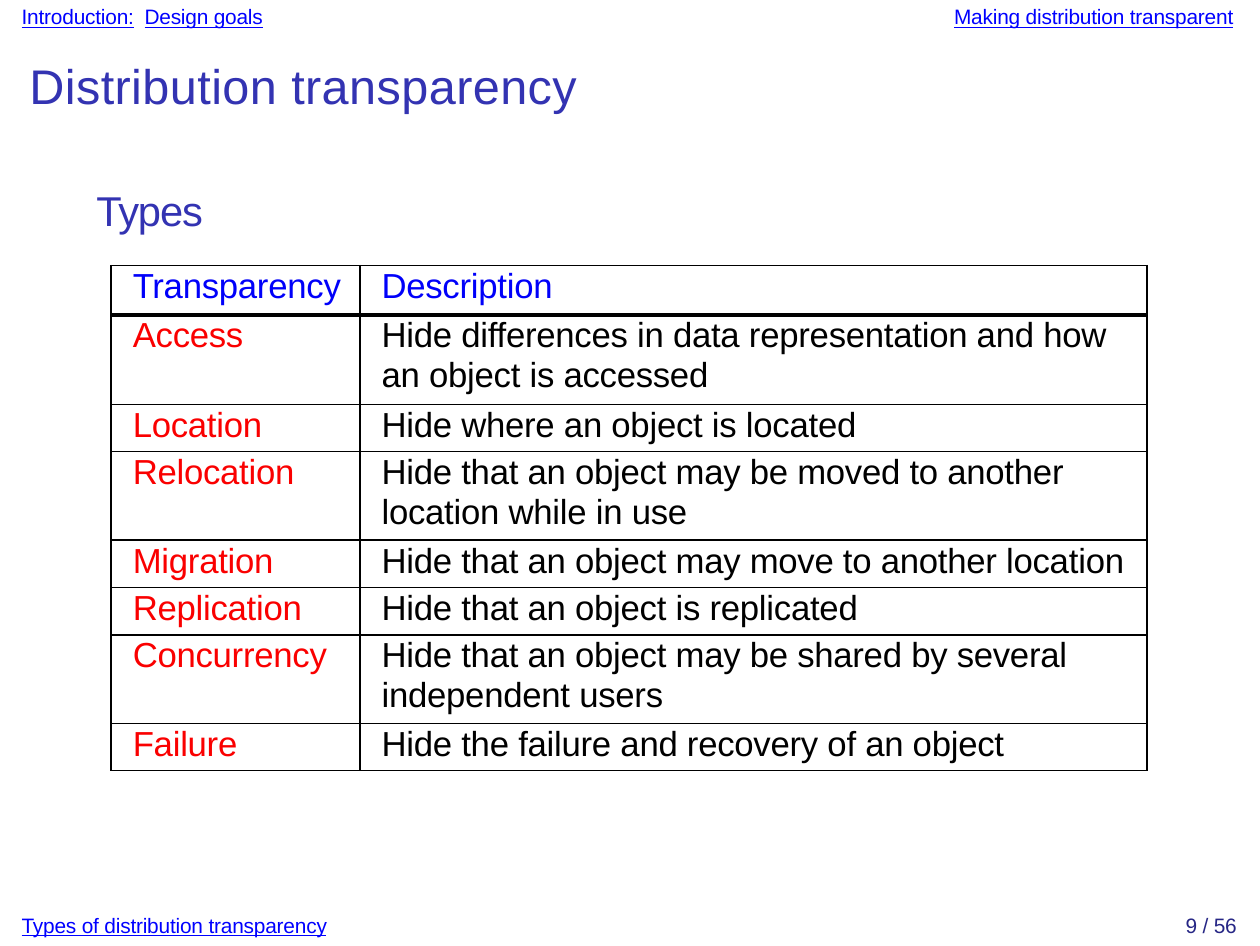
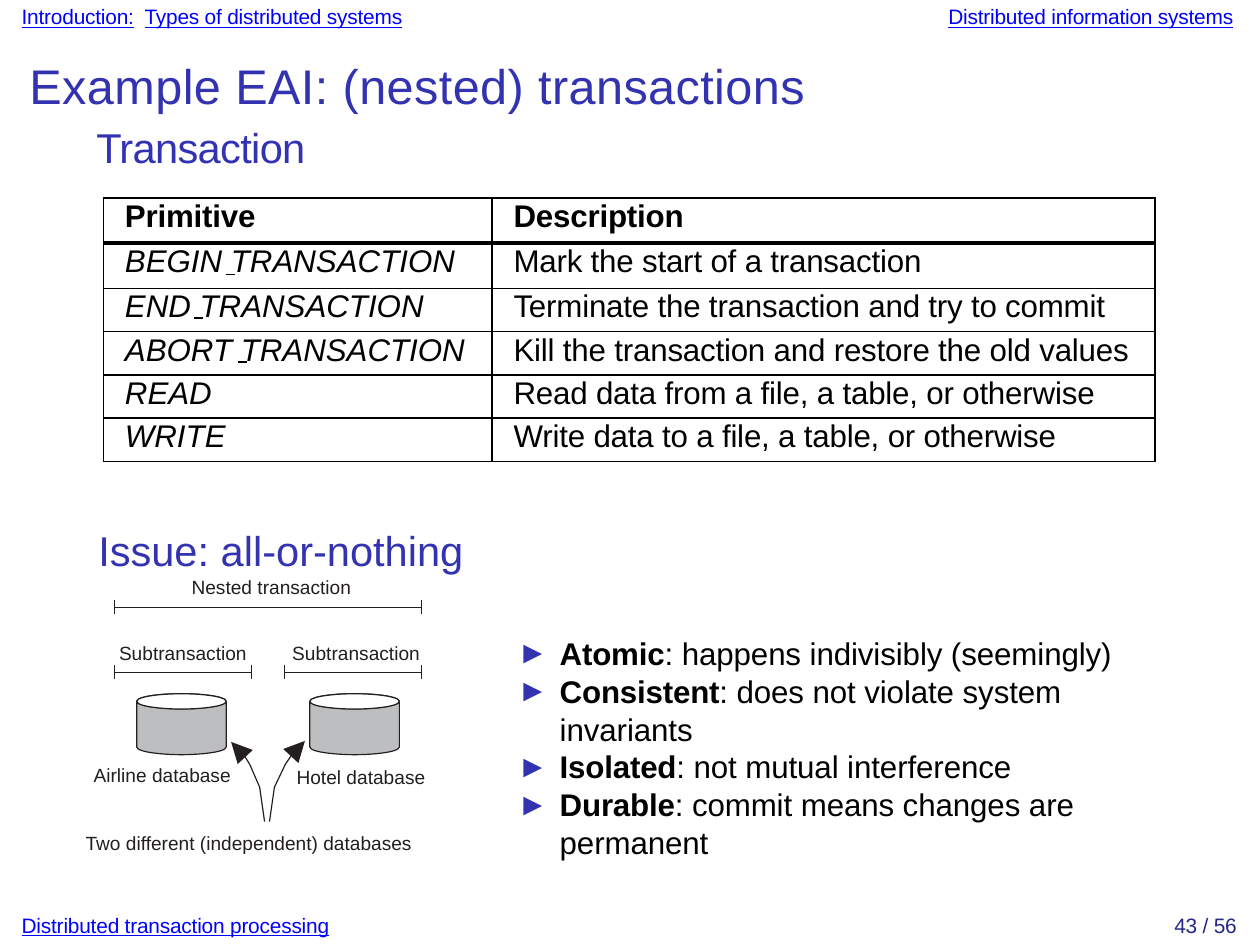
import pptx
import pptx.dml.color
import pptx.enum.shapes
import pptx.enum.text
import pptx.oxml
import pptx.oxml.ns
import pptx.util
from pptx.util import Cm, Pt

SHAPE = pptx.enum.shapes.MSO_SHAPE
ALIGN = pptx.enum.text.PP_ALIGN
FONT = "Arial"
BLACK, WHITE, INK, GREY = "000000", "FFFFFF", "231F20", "BCBEC0"
TITLE, LINK, PAGE = "3333B2", "0000FF", "262685"
HEAD_BLUE, RED = "0000FA", "FA0000"
SLIDE_SIZE = Pt(363), Pt(272.5)
LEFT, RIGHT = 0.22, 12.53

# All positions and sizes below are in centimetres.
TRANSPARENCY = {
    "at": (1.13, 2.7),
    "columns": (2.53, 8.0),
    "heights": (0.5, 0.91, 0.48, 0.9, 0.48, 0.48, 0.9, 0.48),
    "size": 10,
    "spacing": 11.6,
    "head": {"color": HEAD_BLUE},
    "body": ({"color": RED}, {}),
    "rows": [
        ("Transparency", "Description"),
        ("Access", "Hide differences in data representation and how an object is accessed"),
        ("Location", "Hide where an object is located"),
        ("Relocation", "Hide that an object may be moved to another location while in use"),
        ("Migration", "Hide that an object may move to another location"),
        ("Replication", "Hide that an object is replicated"),
        ("Concurrency", "Hide that an object may be shared by several independent users"),
        ("Failure", "Hide the failure and recovery of an object"),
    ],
}
PRIMITIVES = {
    "at": (1.05, 2.01),
    "columns": (3.95, 6.74),
    "heights": (0.46, 0.46, 0.44, 0.44, 0.44, 0.44),
    "size": 9,
    "spacing": 10.4,
    "head": {"bold": True},
    "body": ({"italic": True, "track": 0}, {}),
    "rows": [
        ("Primitive", "Description"),
        ("BEGIN TRANSACTION", "Mark the start of a transaction"),
        ("END TRANSACTION", "Terminate the transaction and try to commit"),
        ("ABORT TRANSACTION", "Kill the transaction and restore the old values"),
        ("READ", "Read data from a file, a table, or otherwise"),
        ("WRITE", "Write data to a file, a table, or otherwise"),
    ],
}
UNDERSCORES = [(2.3, 2.79), (1.97, 3.23), (2.42, 3.68)]
UNDERSCORE_WIDTH = 0.09
PROPERTIES = [
    ("Atomic", ": happens indivisibly (seemingly)"),
    ("Consistent", ": does not violate system invariants"),
    ("Isolated", ": not mutual interference"),
    ("Durable", ": commit means changes are permanent"),
]
DIAGRAM_LABELS = [  # text, centre, top
    ("Nested transaction", 2.76, 5.85),
    ("Subtransaction", 1.86, 6.52),
    ("Subtransaction", 3.62, 6.52),
    ("Airline database", 1.65, 7.76),
    ("Hotel database", 3.67, 7.78),
    ("Two different (independent) databases", 2.53, 8.45),
]
BRACKETS = [(1.16, 4.28, 6.17), (1.16, 2.56, 6.83), (2.89, 4.28, 6.83)]
DATABASES = [1.39, 3.15]
ARROWS = [
    [(2.69, 8.35), (2.64, 8.0), (2.54, 7.77), (2.46, 7.64), (2.35, 7.54)],
    [(2.74, 8.35), (2.79, 8.0), (2.9, 7.77), (3.0, 7.62), (3.1, 7.53)],
]


def rgb(color):
    return pptx.dml.color.RGBColor.from_string(color)


def element(xml):
    """Parse DrawingML whose root carries no namespace declaration."""
    head, gap, rest = xml.partition(" ")
    return pptx.oxml.parse_xml(f"{head} {pptx.oxml.ns.nsdecls('a')} {rest}")


def write(p, text, size=9, color=BLACK, bold=False, italic=False, underline=False, track=-0.05):
    """Append a run; track is the letter spacing in points."""
    r = p.add_run()
    r.text = text
    f = r.font
    f.name, f.size, f.bold, f.italic, f.underline = FONT, Pt(size), bold, italic, underline
    f.color.rgb = rgb(color)
    r._r.get_or_add_rPr().set("spc", str(round(track * 100)))


def add_box(slide, left, top, width, height):
    tf = slide.shapes.add_textbox(Cm(left), Cm(top), Cm(width), Cm(height)).text_frame
    tf.margin_left = tf.margin_right = tf.margin_top = tf.margin_bottom = 0
    tf.word_wrap = True
    return tf


def add_label(slide, text, left, top, width, align=ALIGN.LEFT, size=9, **fmt):
    p = add_box(slide, left, top, width, size * 0.042).paragraphs[0]
    p.alignment = align
    write(p, text, size=size, **fmt)
    return p


def add_heading(slide, text, left, top, track):
    add_label(slide, text, left, top, 8, size=12, color=TITLE, track=track)


def add_frame(prs, title, section, topic, footer, page):
    """Add a slide with its header links, title, footer link and page number."""
    slide = prs.slides.add_slide(prs.slide_layouts[6])
    link = {"size": 6, "color": LINK, "underline": True}
    half = (RIGHT - LEFT) / 2
    p = add_label(slide, "Introduction:", LEFT, 0.04, half, **link)
    write(p, " ", size=6, track=1.4)
    write(p, section, **link)
    add_label(slide, topic, LEFT + half, 0.04, half, ALIGN.RIGHT, **link)
    add_label(slide, title, 0.3, 0.57, 12, size=14, color=TITLE, track=0.1)
    add_label(slide, footer, LEFT, 9.27, half, **link)
    add_label(slide, f"{page} / 56", RIGHT - 1.96, 9.27, 2, ALIGN.RIGHT, size=6, color=PAGE)
    return slide


def set_borders(cell, top, bottom):
    cell.fill.background()
    sides = {"L": 0.5, "R": 0.5, "T": top, "B": bottom}
    for i, (side, width) in enumerate(sides.items()):
        cell._tc.get_or_add_tcPr().insert(i, element(
            f'<a:ln{side} w="{Pt(width)}"><a:solidFill><a:srgbClr val="{BLACK}"/>'
            f'</a:solidFill></a:ln{side}>'))


def add_grid(slide, grid):
    rows, columns, heights = grid["rows"], grid["columns"], grid["heights"]
    left, top = grid["at"]
    table = slide.shapes.add_table(len(rows), len(columns), Cm(left), Cm(top),
                                   Cm(sum(columns)), Cm(sum(heights))).table
    table.first_row = table.horz_banding = False
    for column, width in zip(table.columns, columns):
        column.width = Cm(width)
    for i, (row, height) in enumerate(zip(rows, heights)):
        table.rows[i].height = Cm(height)
        for j, text in enumerate(row):
            cell = table.cell(i, j)
            cell.margin_left, cell.margin_right = Cm(0.22), Cm(0.1)
            cell.margin_top = cell.margin_bottom = 0
            p = cell.text_frame.paragraphs[0]
            p.line_spacing = Pt(grid["spacing"])
            write(p, text, size=grid["size"], **(grid["body"][j] if i else grid["head"]))
            set_borders(cell, top=1.5 if i == 1 else 0.5, bottom=0.5 if i else 1.5)


def add_line(slide, x1, y1, x2, y2, color=INK, width=0.35):
    line = slide.shapes.add_connector(pptx.enum.shapes.MSO_CONNECTOR.STRAIGHT,
                                      Cm(x1), Cm(y1), Cm(x2), Cm(y2))
    line.line.color.rgb = rgb(color)
    line.line.width = Pt(width)
    line._element.spPr.append(element("<a:effectLst />"))


def outline(sp, fill=None):
    sp.shadow.inherit = False
    if fill:
        sp.fill.solid()
        sp.fill.fore_color.rgb = rgb(fill)
    else:
        sp.fill.background()
    sp.line.color.rgb = rgb(INK)
    sp.line.width = Pt(0.35)


def add_bracket(slide, x1, x2, y, tick=0.07):
    add_line(slide, x1, y, x2, y)
    for x in (x1, x2):
        add_line(slide, x, y - tick, x, y + tick)


def add_database(slide, left, top=7.05, width=0.91, height=0.62):
    for kind, tall, fill in ((SHAPE.CAN, height, GREY), (SHAPE.OVAL, height / 4, WHITE)):
        outline(slide.shapes.add_shape(kind, Cm(left), Cm(top), Cm(width), Cm(tall)), fill)


def add_bent_arrow(slide, points):
    start, *rest = [(Cm(x), Cm(y)) for x, y in points]
    builder = slide.shapes.build_freeform(*start)
    builder.add_line_segments(rest, close=False)
    sp = builder.convert_to_shape()
    outline(sp)
    sp.line._get_or_add_ln().append(element('<a:tailEnd type="triangle" w="med" len="med"/>'))


def add_properties(slide):
    tf = add_box(slide, 5.26, 6.44, 6.2, 2.31)
    for i, (name, meaning) in enumerate(PROPERTIES):
        p = tf.add_paragraph() if i else tf.paragraphs[0]
        pPr = p._p.get_or_add_pPr()
        pPr.set("marL", str(Cm(0.43)))
        pPr.set("indent", str(-Cm(0.43)))
        pPr.append(element(f'<a:buClr ><a:srgbClr val="{TITLE}"/></a:buClr>'))
        pPr.append(element(f'<a:buFont typeface="{FONT}"/>'))
        pPr.append(element('<a:buChar char="►"/>'))
        p.line_spacing = Pt(10.9)
        write(p, name, bold=True)
        write(p, meaning, track=-0.02)


def add_transparency_slide(prs):
    slide = add_frame(prs, "Distribution transparency", "Design goals",
                      "Making distribution transparent",
                      "Types of distribution transparency", 9)
    add_heading(slide, "Types", 0.98, 1.88, -0.3)
    add_grid(slide, TRANSPARENCY)


def add_transactions_slide(prs):
    slide = add_frame(prs, "Example EAI: (nested) transactions",
                      "Types of distributed systems", "Distributed information systems",
                      "Distributed transaction processing", 43)
    add_heading(slide, "Transaction", 0.98, 1.24, -0.2)
    add_grid(slide, PRIMITIVES)
    for x, y in UNDERSCORES:
        add_line(slide, x, y, x + UNDERSCORE_WIDTH, y, BLACK, 0.4)
    add_heading(slide, "Issue: all-or-nothing", 1, 5.33, 0)
    for left in DATABASES:
        add_database(slide, left)
    for bracket in BRACKETS:
        add_bracket(slide, *bracket)
    for points in ARROWS:
        add_bent_arrow(slide, points)
    for text, centre, top in DIAGRAM_LABELS:
        add_label(slide, text, centre - 2, top, 4, ALIGN.CENTER, size=5.5, color=INK, track=0)
    add_properties(slide)


def main():
    prs = pptx.Presentation()
    prs.slide_width, prs.slide_height = SLIDE_SIZE
    add_transparency_slide(prs)
    add_transactions_slide(prs)
    prs.save("out.pptx")


if __name__ == "__main__":
    main()
